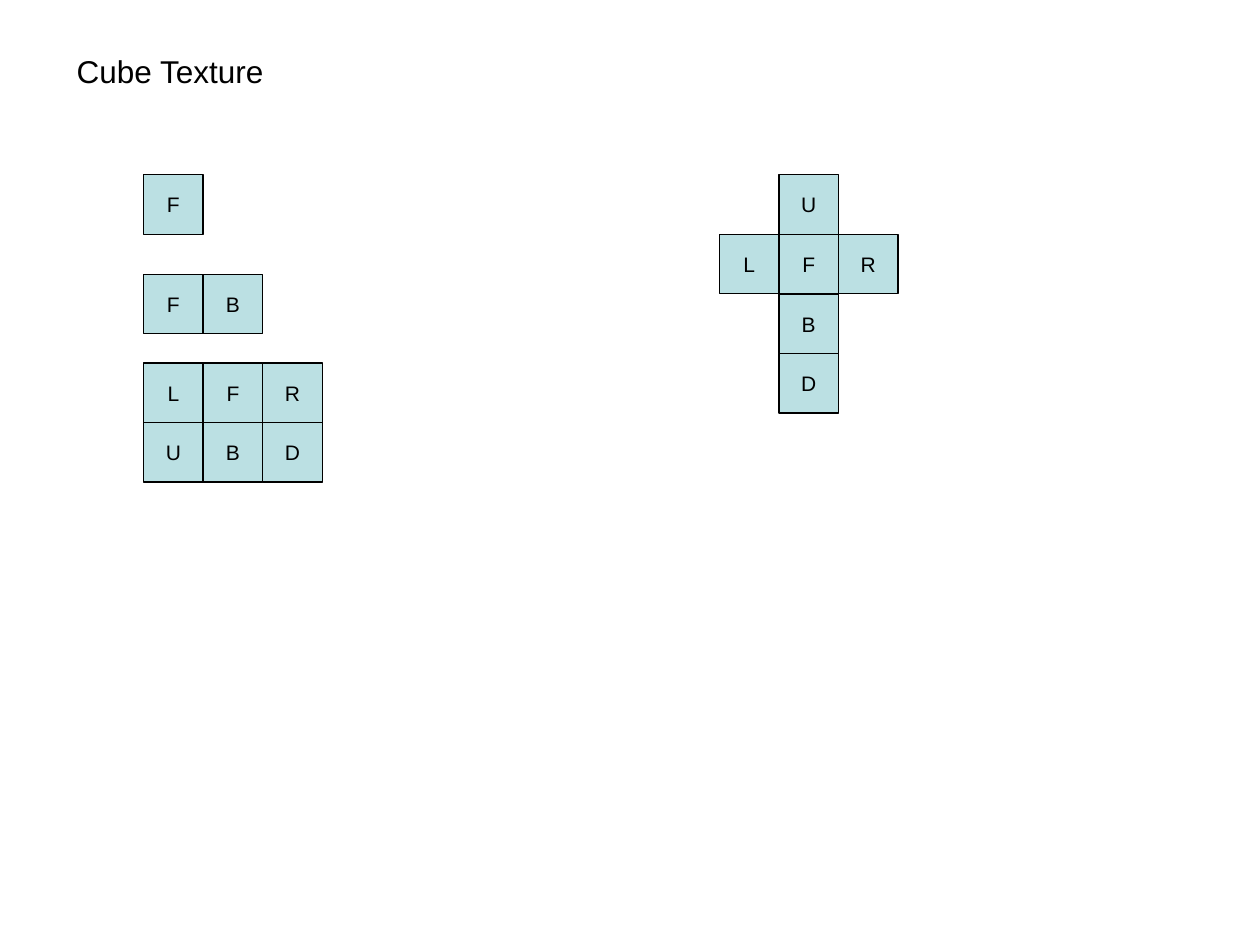
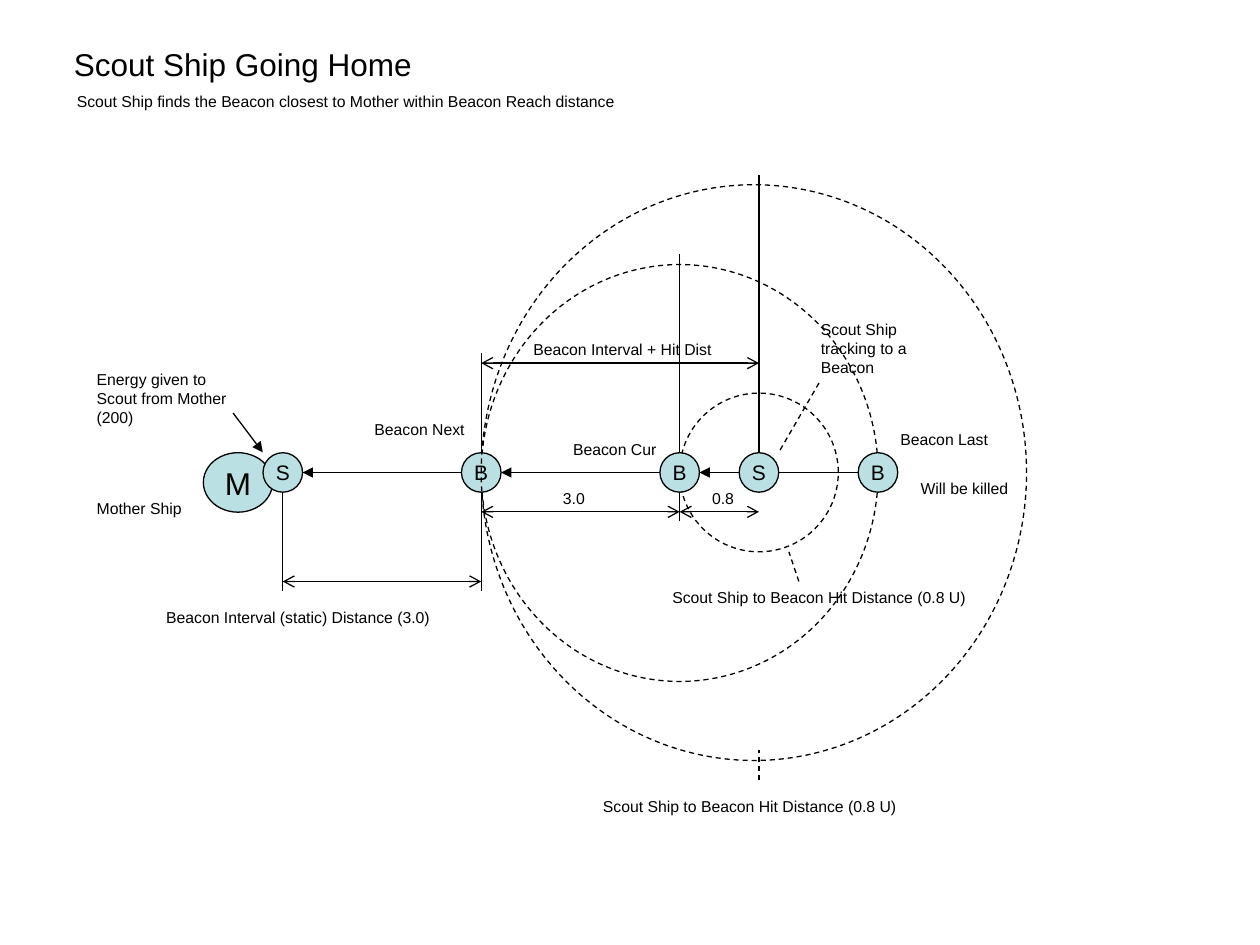
from typing import NamedTuple

from lxml.etree import SubElement
from pptx import Presentation
from pptx.dml.color import RGBColor
from pptx.enum.dml import MSO_LINE
from pptx.enum.shapes import MSO_CONNECTOR, MSO_SHAPE as Preset
from pptx.enum.text import MSO_ANCHOR as Anchor, MSO_AUTO_SIZE as AutoSize, PP_ALIGN as Align
from pptx.oxml.ns import qn
from pptx.slide import Slide
from pptx.text.text import TextFrame
from pptx.util import Pt

BLACK = RGBColor(0x00, 0x00, 0x00)
PALE_BLUE = RGBColor(0xBB, 0xE0, 0xE3)
FONT = "Arial"
TITLE_SIZE, LETTER_SIZE, LABEL_SIZE = 18, 12, 9
LINE_WIDTH = 0.75
CELL = 34.02
# Spare width that keeps a one-line label on its line
SLACK = 1.5

# Horizontal places of the ships and beacons along the route home
DOCK_X, NEXT_X, CURRENT_X, SCOUT_X, LAST_X = 161.6, 275, 388.4, 433.7, 501.7
ROUTE_Y = 270
NODE = 22.6
RADIUS = NODE / 2
HIT_RADIUS = 45.35


class Frame(NamedTuple):
    left: float
    top: float
    width: float
    height: float


class Net(NamedTuple):
    """Rows of cube faces; a space leaves its cell empty."""
    left: float
    top: float
    rows: tuple[str, ...]


class Label(NamedTuple):
    text: str
    frame: Frame
    size: float = LABEL_SIZE
    wrap: bool = False


class Line(NamedTuple):
    start: tuple[float, float]
    end: tuple[float, float]
    head: str = ""
    tail: str = ""
    dashed: bool = False


def vertical(x: float, top: float, bottom: float, dashed: bool = False) -> Line:
    return Line((x, top), (x, bottom), dashed=dashed)


def measure(left: float, right: float, y: float) -> Line:
    """A dimension line with an open arrow at both ends."""
    return Line((left, y), (right, y), head="arrow", tail="arrow")


def travel(origin: float, target: float) -> Line:
    """An arrow between two nodes, towards the mother ship."""
    return Line((origin - RADIUS, ROUTE_Y), (target + RADIUS, ROUTE_Y), tail="triangle")


NETS = (
    Net(82.1, 99.9, ("F",)),
    Net(82.1, 156.8, ("FB",)),
    Net(82.1, 207.5, ("LFR", "UBD")),
    Net(411.1, 99.9, (" U ", "LFR", " B ", " D ")),
)

REACH_CIRCLE = Frame(NEXT_X, 151.2, 226.8, 238.2)
HIT_CIRCLE = Frame(SCOUT_X - HIT_RADIUS, ROUTE_Y - HIT_RADIUS, 2 * HIT_RADIUS, 2 * HIT_RADIUS)
SEARCH_CIRCLE = Frame(NEXT_X, 105.6, 311.6, 329)
MOTHER_SHIP = Frame(116.2, 258.7, 39.6, 34)
NODES = (("S", DOCK_X), ("B", NEXT_X), ("B", CURRENT_X), ("S", SCOUT_X), ("B", LAST_X))

ROUTE_LINES = (
    vertical(CURRENT_X, 145.4, 298),
    travel(LAST_X, CURRENT_X),
    travel(CURRENT_X, NEXT_X),
    travel(NEXT_X, DOCK_X),
    vertical(DOCK_X, 281.3, 337.7),
    vertical(NEXT_X, 281.3, 337.7),
    vertical(NEXT_X, 202, 258.5),
    vertical(SCOUT_X, 100, 258.5),
    measure(DOCK_X, NEXT_X, 332.3),
    measure(NEXT_X, SCOUT_X, 207.5),
    measure(NEXT_X, CURRENT_X, 292.5),
    measure(CURRENT_X, SCOUT_X, 292.5),
    Line((133.2, 236), (150.2, 258.5), tail="triangle"),
    Line((456.5, 332.3), (450.8, 315.4), dashed=True),
    Line((468, 218.9), (445, 258.5), dashed=True),
    vertical(SCOUT_X, 445.7, 428.4, dashed=True),
)

HIT_DISTANCE = "Scout Ship to Beacon Hit Distance (0.8 U)"
CUBE_TITLE = Label("Cube Texture", Frame(36.8, 26.2, 123.1, 28.8), TITLE_SIZE)
ROUTE_LABELS = (
    Label("Scout Ship Going Home", Frame(35.2, 22.2, 207.4, 28.8), TITLE_SIZE),
    Label("Scout Ship finds the Beacon closest to Mother within Beacon Reach distance",
          Frame(36.8, 49, 321.1, 18)),
    Label("Energy given to Scout from Mother (200)", Frame(48.2, 207.7, 102.2, 39.6), wrap=True),
    Label("Mother Ship", Frame(48.2, 281.5, 62.6, 18)),
    Label("Beacon Interval (static) Distance (3.0)", Frame(87.9, 343.7, 164.9, 18)),
    Label(HIT_DISTANCE, Frame(377.1, 332.3, 186.5, 18)),
    Label(HIT_DISTANCE, Frame(337.5, 451.5, 186.5, 18)),
    Label("Scout Ship tracking to a Beacon", Frame(462, 179.3, 90.7, 39.6), wrap=True),
    Label("Beacon Last", Frame(507.4, 242, 69.1, 18)),
    Label("Will be killed", Frame(519, 270, 64.1, 18)),
    Label("Beacon Cur", Frame(320.4, 247.7, 67, 18)),
    Label("Beacon Next", Frame(206.9, 236.2, 70.6, 18)),
    Label("Beacon Interval + Hit Dist", Frame(297.7, 190.6, 115.9, 18)),
    Label("3.0", Frame(314.6, 275.8, 26.6, 18)),
    Label("0.8", Frame(399.8, 275.8, 26.6, 18)),
)


def write(text_frame: TextFrame, text: str, size: float, align: Align = Align.LEFT) -> None:
    para = text_frame.paragraphs[0]
    para.alignment = align
    span = para.add_run()
    span.text = text
    span.font.name = FONT
    span.font.size = Pt(size)
    span.font.color.rgb = BLACK


def add_label(page: Slide, label: Label) -> None:
    box = page.shapes.add_textbox(*map(Pt, label.frame))
    if not label.wrap:
        box.width = Pt(label.frame.width + SLACK)
    box.text_frame.word_wrap = label.wrap
    box.text_frame.auto_size = AutoSize.SHAPE_TO_FIT_TEXT
    write(box.text_frame, label.text, label.size)


def add_outline(page: Slide, preset: Preset, frame: Frame):
    shape = page.shapes.add_shape(preset, *map(Pt, frame))
    shape.shadow.inherit = False
    shape.fill.background()
    shape.line.color.rgb = BLACK
    shape.line.width = Pt(LINE_WIDTH)
    return shape


def add_lettered(page: Slide, preset: Preset, frame: Frame, letter: str,
                 size: float = LETTER_SIZE) -> None:
    shape = add_outline(page, preset, frame)
    shape.fill.solid()
    shape.fill.fore_color.rgb = PALE_BLUE
    shape.text_frame.word_wrap = False
    shape.text_frame.vertical_anchor = Anchor.MIDDLE
    write(shape.text_frame, letter, size, Align.CENTER)


def add_circle(page: Slide, frame: Frame) -> None:
    add_outline(page, Preset.OVAL, frame).line.dash_style = MSO_LINE.DASH


def add_line(page: Slide, line: Line) -> None:
    connector = page.shapes.add_connector(
        MSO_CONNECTOR.STRAIGHT, *map(Pt, (*line.start, *line.end)))
    connector.line.color.rgb = BLACK
    connector.line.width = Pt(LINE_WIDTH)
    if line.dashed:
        connector.line.dash_style = MSO_LINE.DASH
    properties = connector._element.spPr
    stroke = properties.find(qn("a:ln"))
    for tag, arrow in (("a:headEnd", line.head), ("a:tailEnd", line.tail)):
        if arrow:
            SubElement(stroke, qn(tag), type=arrow)
    SubElement(properties, qn("a:effectLst"))


def add_net(page: Slide, net: Net) -> None:
    for row, faces in enumerate(net.rows):
        for column, face in enumerate(faces):
            if face != " ":
                frame = Frame(net.left + column * CELL, net.top + row * CELL, CELL, CELL)
                add_lettered(page, Preset.RECTANGLE, frame, face)


def draw_cube_texture(page: Slide) -> None:
    add_label(page, CUBE_TITLE)
    for net in NETS:
        add_net(page, net)


def draw_route_home(page: Slide) -> None:
    for circle in (REACH_CIRCLE, HIT_CIRCLE):
        add_circle(page, circle)
    for line in ROUTE_LINES:
        add_line(page, line)
    add_lettered(page, Preset.OVAL, MOTHER_SHIP, "M", TITLE_SIZE)
    for letter, x in NODES:
        frame = Frame(x - RADIUS, ROUTE_Y - RADIUS, NODE, NODE)
        add_lettered(page, Preset.OVAL, frame, letter)
    for label in ROUTE_LABELS:
        add_label(page, label)
    add_circle(page, SEARCH_CIRCLE)


def main() -> None:
    deck = Presentation()
    deck.slide_width, deck.slide_height = Pt(720), Pt(540)
    blank = deck.slide_layouts[6]
    for draw in (draw_cube_texture, draw_route_home):
        draw(deck.slides.add_slide(blank))
    deck.save("out.pptx")


if __name__ == "__main__":
    main()
